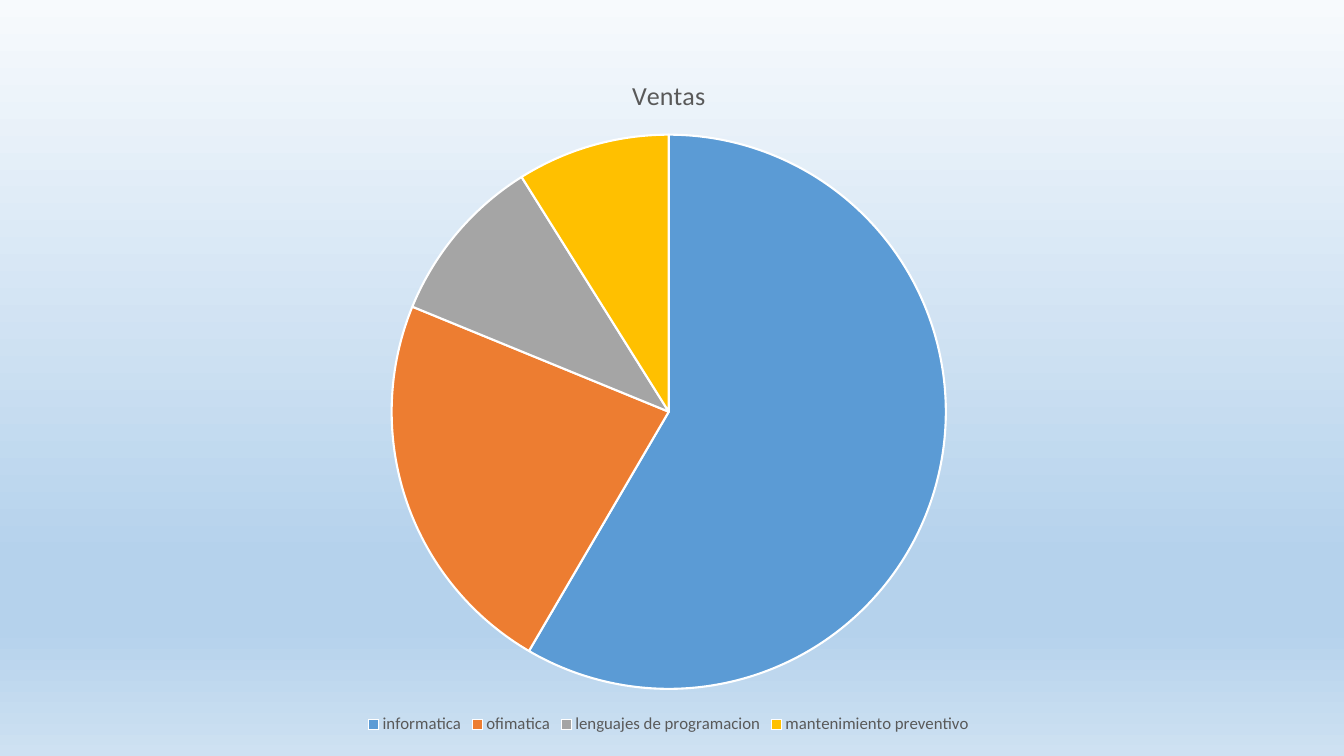
import copy

import pptx
import pptx.chart.data
import pptx.dml.color
import pptx.enum.chart
import pptx.oxml.ns
import pptx.util

Pt = pptx.util.Pt
RGB = pptx.dml.color.RGBColor

WHITE = RGB(0xFF, 0xFF, 0xFF)
GREY = RGB(0x59, 0x59, 0x59)
SKY = [
    (0, RGB(0xF7, 0xFA, 0xFD)),
    (0.74, RGB(0xB5, 0xD2, 0xEC)),
    (0.83, RGB(0xB5, 0xD2, 0xEC)),
    (1, RGB(0xCE, 0xE1, 0xF2)),
]
SALES = [
    ("informatica", 59, RGB(0x5B, 0x9B, 0xD5)),
    ("ofimatica", 23, RGB(0xED, 0x7D, 0x31)),
    ("lenguajes de programacion", 10, RGB(0xA5, 0xA5, 0xA5)),
    ("mantenimiento preventivo", 9, RGB(0xFF, 0xC0, 0x00)),
]


def style(font, size, color):
    """Set the face, size and colour of a font."""
    font.name = "Calibri"
    font.size = Pt(size)
    font.bold = False
    font.color.rgb = color


deck = pptx.Presentation()
deck.slide_width, deck.slide_height = Pt(960), Pt(540)
slide = deck.slides.add_slide(deck.slide_layouts[6])

# Background fading from top to bottom
fill = slide.background.fill
fill.gradient()
fill.gradient_angle = 270
stops = slide.element.find(".//" + pptx.oxml.ns.qn("a:gsLst"))
while len(stops) < len(SKY):
    stops.append(copy.deepcopy(stops[0]))
for stop, (place, color) in zip(fill.gradient_stops, SKY):
    stop.position = place
    stop.color.rgb = color

# Sales pie
data = pptx.chart.data.CategoryChartData()
data.categories = [name for name, value, color in SALES]
data.add_series("Ventas", [value for name, value, color in SALES])
chart = slide.shapes.add_chart(
    pptx.enum.chart.XL_CHART_TYPE.PIE, Pt(18.7), Pt(38.2), Pt(918), Pt(489), data
).chart
style(chart.font, 10, GREY)

chart.has_title = True
title = chart.chart_title
title.include_in_layout = False
title.text_frame.text = "Ventas"
style(title.text_frame.paragraphs[0].runs[0].font, 18.6, GREY)

chart.has_legend = True
chart.legend.position = pptx.enum.chart.XL_LEGEND_POSITION.BOTTOM
chart.legend.include_in_layout = False
style(chart.legend.font, 12, GREY)

plot = chart.plots[0]
plot.vary_by_categories = True
for index, (name, value, color) in enumerate(SALES):
    slice = plot.series[0].points[index].format
    slice.fill.solid()
    slice.fill.fore_color.rgb = color
    slice.line.color.rgb = WHITE
    slice.line.width = Pt(1.5)

deck.save("out.pptx")
